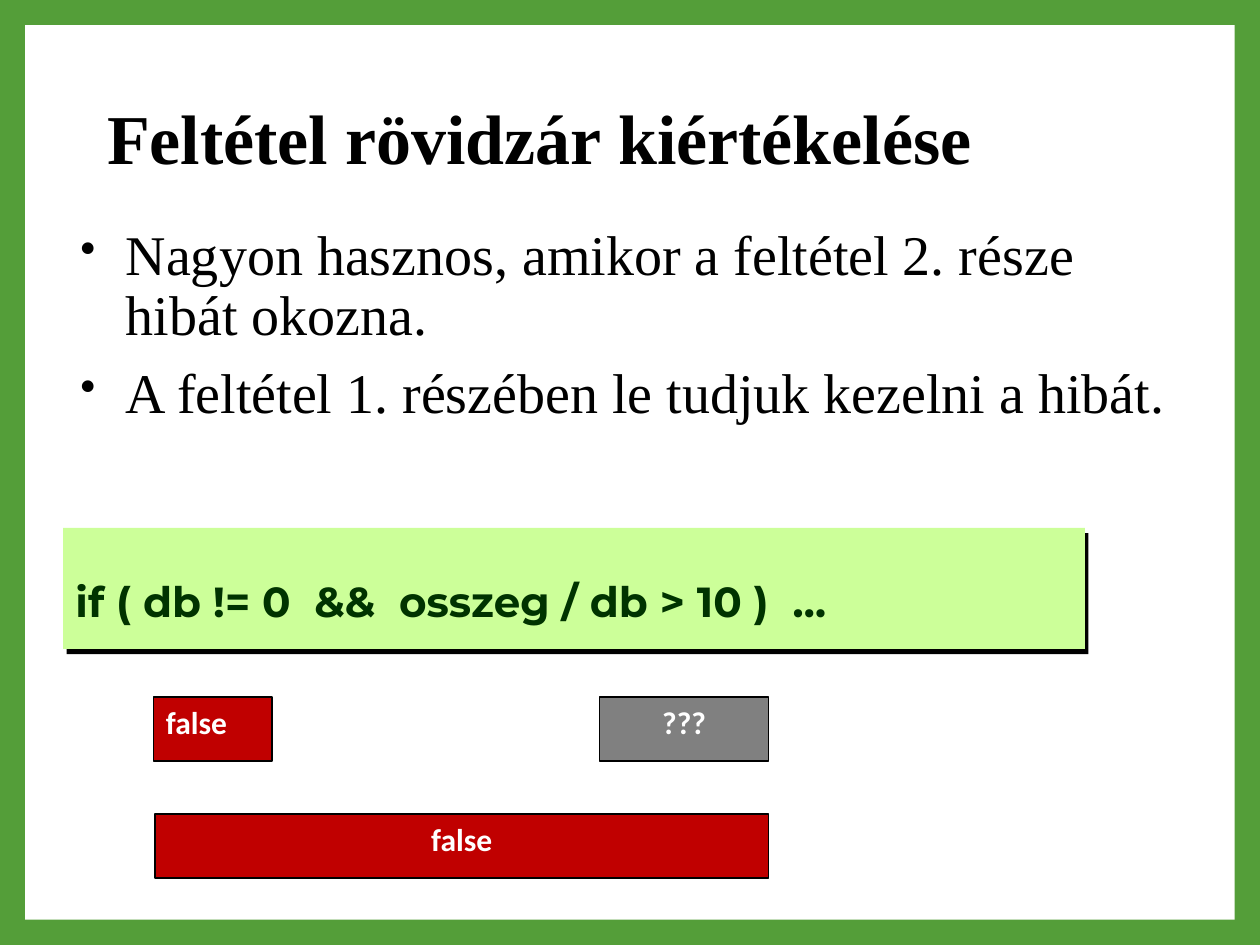
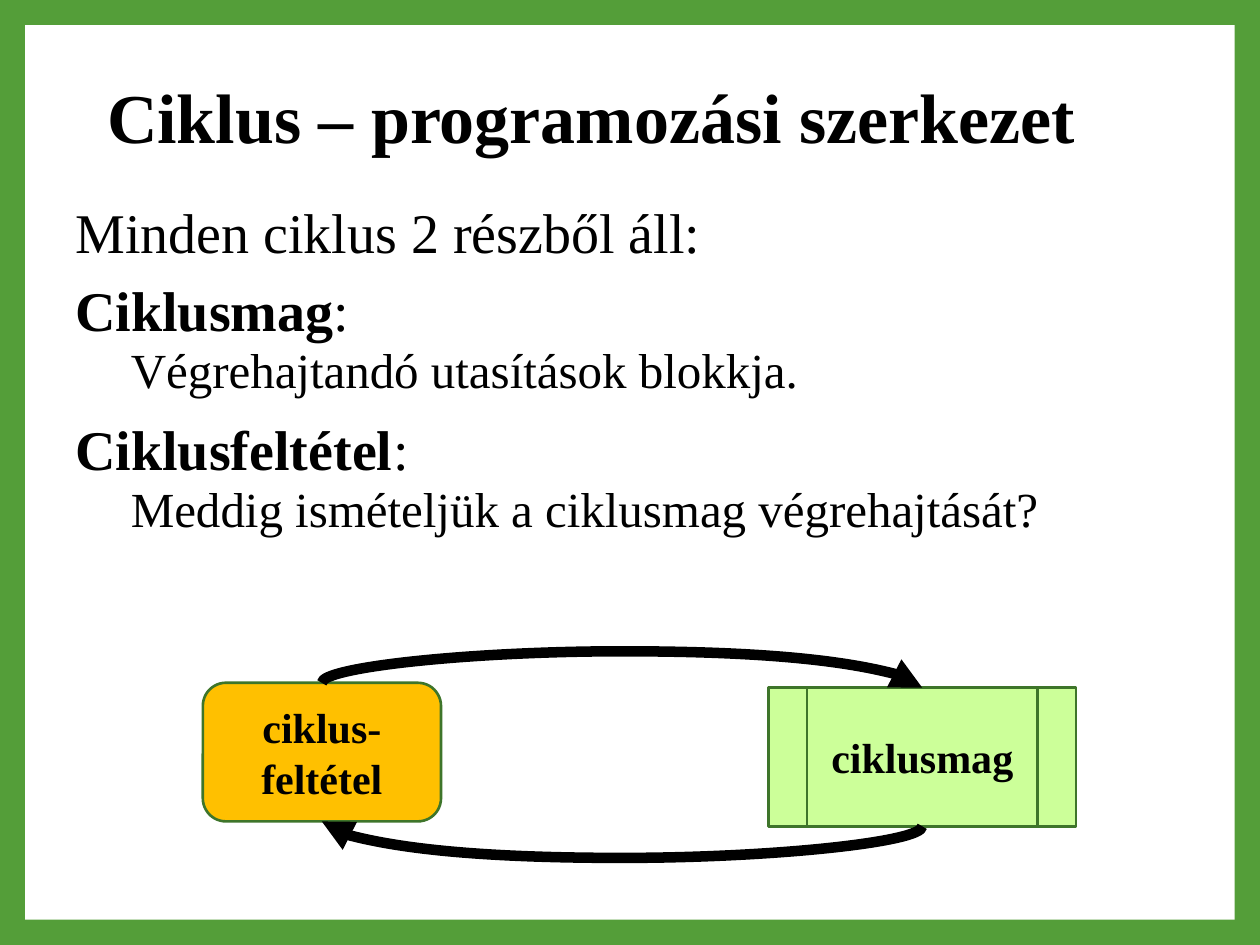
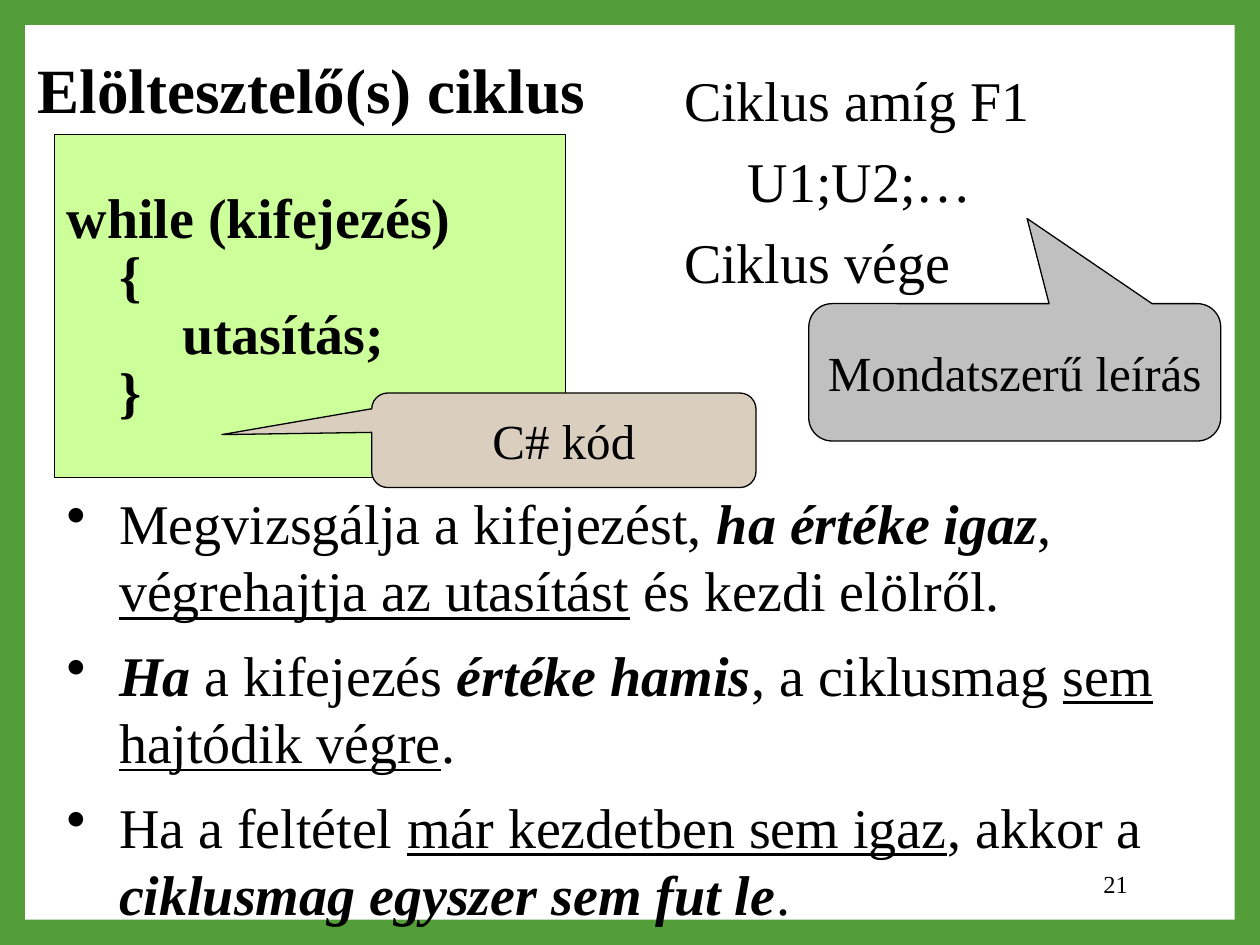
from lxml import etree
from pptx import Presentation
from pptx.dml.color import RGBColor
from pptx.enum.shapes import MSO_CONNECTOR, MSO_SHAPE as SHAPE
from pptx.enum.text import MSO_ANCHOR as ANCHOR, MSO_AUTO_SIZE, PP_ALIGN as ALIGN
from pptx.oxml import parse_xml
from pptx.oxml.ns import nsdecls, qn
from pptx.util import Pt

# Shared look
GREEN = RGBColor(0x54, 0x9E, 0x39)
DARK_GREEN = RGBColor(0x3E, 0x75, 0x2A)
CODE_GREEN = RGBColor(0x00, 0x33, 0x00)
LIME = RGBColor(0xCC, 0xFF, 0x99)
RED = RGBColor(0xC0, 0x00, 0x00)
AMBER = RGBColor(0xFF, 0xC0, 0x00)
BEIGE = RGBColor(0xDA, 0xCF, 0xBE)
GRAY = RGBColor(0x80, 0x80, 0x80)
SILVER = RGBColor(0xC0, 0xC0, 0xC0)
WHITE = RGBColor(0xFF, 0xFF, 0xFF)
BLACK = RGBColor(0, 0, 0)
WIDTH, HEIGHT, BORDER = 720, 540, 14.4

BASE = dict(name="Times New Roman", size=Pt(32), bold=False, color=BLACK)
TITLE = dict(BASE, size=Pt(40), bold=True)
CODE = dict(BASE, name="Montserrat", size=Pt(24), bold=True, color=CODE_GREEN)
VALUE = dict(BASE, name="Calibri", size=Pt(18), bold=True, color=WHITE)
NODE = dict(BASE, size=Pt(24), bold=True)
CALLOUT = dict(BASE, size=Pt(28))
MARKS = {"b": "bold", "i": "italic", "u": "underline"}

# Slide 1: short-circuit evaluation
SHORT_TITLE = "Feltétel rövidzár kiértékelése"
SHORT_POINTS = [
    "Nagyon hasznos, amikor a feltétel 2. része hibát okozna.",
    "A feltétel 1. részében le tudjuk kezelni a hibát.",
]
CONDITION = "if ( db != 0  &&  osszeg / db > 10 )  …"
VALUES = [  # text, box, fill, alignment
    ("???", (342.7, 398.2, 96.5, 36.7), GRAY, ALIGN.CENTER),
    ("false", (87.8, 398.2, 67.7, 36.7), RED, ALIGN.LEFT),
    ("false", (88.6, 465.1, 350.6, 36.7), RED, ALIGN.CENTER),
]

# Slide 2: parts of a loop
LOOP_TITLE = "Ciklus – programozási szerkezet"
LOOP_INTRO = "Minden ciklus 2 részből áll:"
LOOP_PARTS = [
    ("Ciklusmag", "Végrehajtandó utasítások blokkja."),
    ("Ciklusfeltétel", "Meddig ismételjük a ciklusmag végrehajtását?"),
]
LOOP_NODES = [  # text, box, shape, fill
    ("ciklus-feltétel", (115.9, 390.2, 136.1, 79.2), SHAPE.ROUNDED_RECTANGLE, AMBER),
    ("ciklusmag", (439.2, 393, 175.7, 79.2), SHAPE.FLOWCHART_PREDEFINED_PROCESS, LIME),
]
TOP_SITE, BOTTOM_SITE, BULGE = 0, 2, 18

# Slide 3: pre-test loop
WHILE_TITLE = "Elöltesztelő(s) ciklus"
PSEUDO = [("Ciklus amíg F1", 0), ("U1;U2;…", 36.5), ("Ciklus vége", 0)]
WHILE_CODE = [("while (kifejezés)", 0), ("{", 30), ("utasítás;", 66), ("}", 30)]
WHILE_POINTS = [
    [("Megvizsgálja a kifejezést, ", ""), ("ha értéke igaz", "bi"), (", ", ""),
     ("végrehajtja az utasítást", "u"), (" és kezdi elölről.", "")],
    [("Ha", "bi"), (" a kifejezés ", ""), ("értéke hamis", "bi"),
     (", a ciklusmag ", ""), ("sem hajtódik végre", "u"), (".", "")],
    [("Ha a feltétel ", ""), ("már kezdetben sem igaz", "u"), (", akkor a ", ""),
     ("ciklusmag egyszer sem fut le", "bi"), (".", "")],
]
CALLOUTS = [  # text, box, fill, adjustments
    ("Mondatszerű leírás", (462.2, 173.5, 235.4, 78.5), SILVER, (0.03, -1.12, 0.17)),
    ("C# kód", (212.4, 224.6, 219.6, 54), BEIGE, (-0.89, -0.06, 0.17)),
]
PAGE = "21"


def para(text, indent=0, fmt=BASE, bullet=None, hang=0, **spacing):
    """Describe a paragraph; text is a string or a list of (text, marks)."""
    runs = [(text, "")] if isinstance(text, str) else text
    return dict(runs=runs, indent=indent, fmt=fmt, bullet=bullet, hang=hang, spacing=spacing)


def set_font(font, fmt, marks=""):
    for key, value in fmt.items():
        if key == "color":
            font.color.rgb = value
        else:
            setattr(font, key, value)
    for mark in marks:
        setattr(font, MARKS[mark], True)


def write(sp, paras, align=ALIGN.LEFT, anchor=ANCHOR.TOP, wrap=True, top=3.6):
    tf = sp.text_frame
    frame = dict(word_wrap=wrap, auto_size=MSO_AUTO_SIZE.NONE, vertical_anchor=anchor,
                 margin_left=Pt(7.2), margin_right=Pt(7.2),
                 margin_top=Pt(top), margin_bottom=Pt(3.6))
    for key, value in frame.items():
        setattr(tf, key, value)
    for i, item in enumerate(paras):
        p = tf.add_paragraph() if i else tf.paragraphs[0]
        p.alignment = align
        for key, value in item["spacing"].items():
            if i or key != "space_before":
                setattr(p, key, value)
        pPr = p._p.get_or_add_pPr()
        pPr.set("marL", str(Pt(item["indent"])))
        pPr.set("indent", str(Pt(-item["hang"])))
        if item["bullet"]:
            size = etree.SubElement(pPr, qn("a:buSzPct"))
            size.set("val", str(item["bullet"] * 1000))
            etree.SubElement(pPr, qn("a:buChar")).set("char", "•")
        for text, marks in item["runs"]:
            r = p.add_run()
            r.text = text
            set_font(r.font, item["fmt"], marks)
    return sp


def place(box):
    return [Pt(v) for v in box]


def add_box(s, box, fill, line=None, kind=SHAPE.RECTANGLE, weight=0.75):
    sp = s.shapes.add_shape(kind, *place(box))
    sp.shadow.inherit = False
    sp.fill.solid()
    sp.fill.fore_color.rgb = fill
    if line is None:
        sp.line.fill.background()
    else:
        sp.line.color.rgb = line
        sp.line.width = Pt(weight)
    return sp


def add_text(s, box, paras, **options):
    return write(s.shapes.add_textbox(*place(box)), paras, **options)


def add_slide(prs, title, box, fmt=TITLE, spacing=0.9, **options):
    s = prs.slides.add_slide(prs.slide_layouts[5])
    sp = s.shapes.title
    sp.left, sp.top, sp.width, sp.height = place(box)
    write(sp, [para(title, fmt=fmt, line_spacing=spacing)], **options)
    return s


def add_arrow(s, start, end, site, turn):
    """Curved arrow between two nodes, bulging away from them."""
    c = s.shapes.add_connector(MSO_CONNECTOR.CURVE, 0, 0, 0, 0)
    c.begin_connect(start, site)
    c.end_connect(end, site)
    drop, span = abs(c.end_y - c.begin_y), abs(c.end_x - c.begin_x)
    mid_x, mid_y = (c.begin_x + c.end_x) // 2, (c.begin_y + c.end_y) // 2
    c.left, c.top, c.width, c.height = mid_x - drop // 2, mid_y - span // 2, drop, span
    spPr = c._element.spPr
    xfrm = spPr.xfrm
    xfrm.flipH, xfrm.flipV, xfrm.rot = True, False, turn
    guide = etree.SubElement(spPr.prstGeom.get_or_add_avLst(), qn("a:gd"))
    guide.set("name", "adj1")
    guide.set("fmla", f"val {round(-Pt(BULGE) / drop * 100000)}")
    c.line.color.rgb = BLACK
    c.line.width = Pt(6)
    etree.SubElement(c.line._get_or_add_ln(), qn("a:tailEnd")).set("type", "triangle")
    etree.SubElement(spPr, qn("a:effectLst"))


def set_master(prs, s):
    """Green frame around a white panel, shared by all slides."""
    fill = prs.slide_master.background.fill
    fill.solid()
    fill.fore_color.rgb = GREEN
    panel = add_box(s, (BORDER, BORDER, WIDTH - 2 * BORDER, HEIGHT - 2 * BORDER), WHITE)
    prs.slide_master.shapes.element.insert(2, panel.element)


def build_short_circuit(prs):
    s = add_slide(prs, SHORT_TITLE, (54, 36, 612, 90), anchor=ANCHOR.MIDDLE)
    set_master(prs, s)
    code = add_box(s, (36, 301.7, 583.9, 69.1), LIME)
    code._element.spPr.find(qn("a:effectLst")).append(parse_xml(
        f'<a:outerShdw {nsdecls("a")} dist="{Pt(3.6)}" dir="{56 * 60000}" algn="ctr" '
        'rotWithShape="0"><a:srgbClr val="000000"/></a:outerShdw>'))
    write(code, [para(CONDITION, fmt=CODE, line_spacing=1.5)], anchor=ANCHOR.MIDDLE)
    add_text(s, (36, 126, 648, 177.8),
             [para(t, 28.8, bullet=80, hang=25.9, line_spacing=0.9, space_before=Pt(10))
              for t in SHORT_POINTS])
    for text, box, fill, align in VALUES:
        write(add_box(s, box, fill, BLACK), [para(text, fmt=VALUE)], align=align)


def build_loop(prs):
    s = add_slide(prs, LOOP_TITLE, (54, 23.8, 612, 90), anchor=ANCHOR.MIDDLE)
    head = dict(line_spacing=0.9, space_before=Pt(10))
    detail = dict(line_spacing=0.9, space_before=Pt(1.5), space_after=Pt(3))
    paras = [para(LOOP_INTRO, **head)]
    for name, text in LOOP_PARTS:
        paras += [para([(name, "b"), (":", "")], **head),
                  para(text, 31.7, CALLOUT, **detail)]
    add_text(s, (36, 113.8, 648, 229), paras)
    nodes = []
    for text, box, kind, fill in LOOP_NODES:
        sp = add_box(s, box, fill, DARK_GREEN, kind, 1.5)
        nodes.append(write(sp, [para(text, fmt=NODE)],
                           align=ALIGN.CENTER, anchor=ANCHOR.MIDDLE))
    test, body = nodes
    add_arrow(s, test, body, TOP_SITE, 270)
    add_arrow(s, body, test, BOTTOM_SITE, 90)


def build_while(prs):
    s = add_slide(prs, WHILE_TITLE, (14.4, 20.2, 351.4, 50.4),
                  dict(TITLE, size=Pt(36)), 1.0, top=8.6)
    add_text(s, (550.8, 490.3, 100.8, 28.8), [para(PAGE, fmt=dict(BASE, size=Pt(14)))],
             align=ALIGN.RIGHT, anchor=ANCHOR.MIDDLE)
    add_text(s, (383.8, 30.2, 257.8, 137.5),
             [para(t, indent, space_before=Pt(8)) for t, indent in PSEUDO], top=7.2)
    gaps = dict(space_before=Pt(5), space_after=Pt(5))
    add_text(s, (31, 270.7, 664.6, 257.8),
             [para(runs, 30, bullet=100, hang=30, **gaps) for runs in WHILE_POINTS], top=8.6)
    code = add_box(s, (31, 77, 292.3, 195.8), LIME, BLACK)
    write(code, [para(t, indent, dict(BASE, bold=True), line_spacing=0.6, **gaps)
                 for t, indent in WHILE_CODE], top=41)
    for text, box, fill, adjustments in CALLOUTS:
        sp = add_box(s, box, fill, BLACK, SHAPE.ROUNDED_RECTANGULAR_CALLOUT)
        for i, value in enumerate(adjustments):
            sp.adjustments[i] = value
        write(sp, [para(text, fmt=CALLOUT)], align=ALIGN.CENTER,
              anchor=ANCHOR.MIDDLE, wrap=False)


def main():
    prs = Presentation()
    prs.slide_width, prs.slide_height = Pt(WIDTH), Pt(HEIGHT)
    for build in (build_short_circuit, build_loop, build_while):
        build(prs)
    prs.save("out.pptx")


if __name__ == "__main__":
    main()
